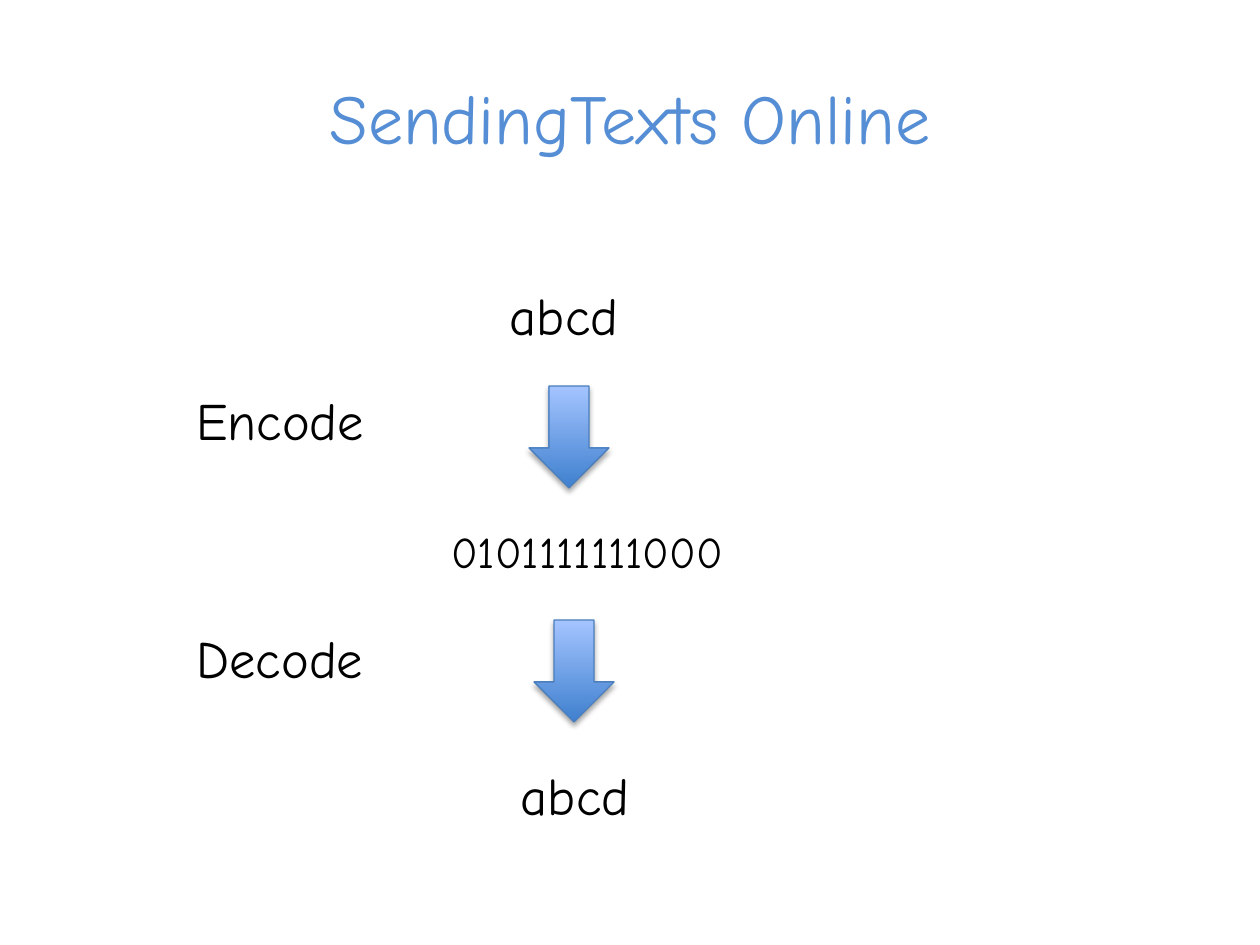
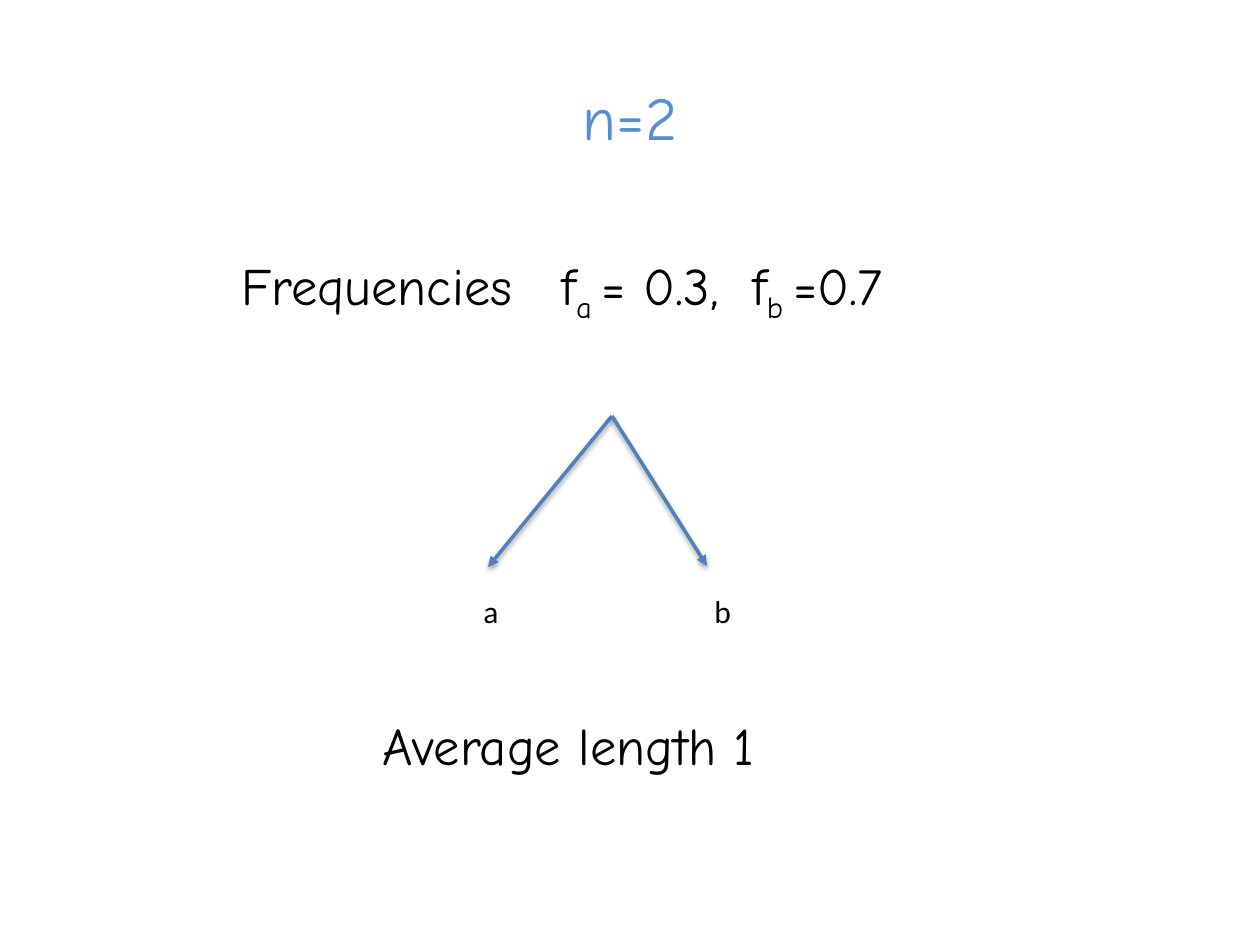
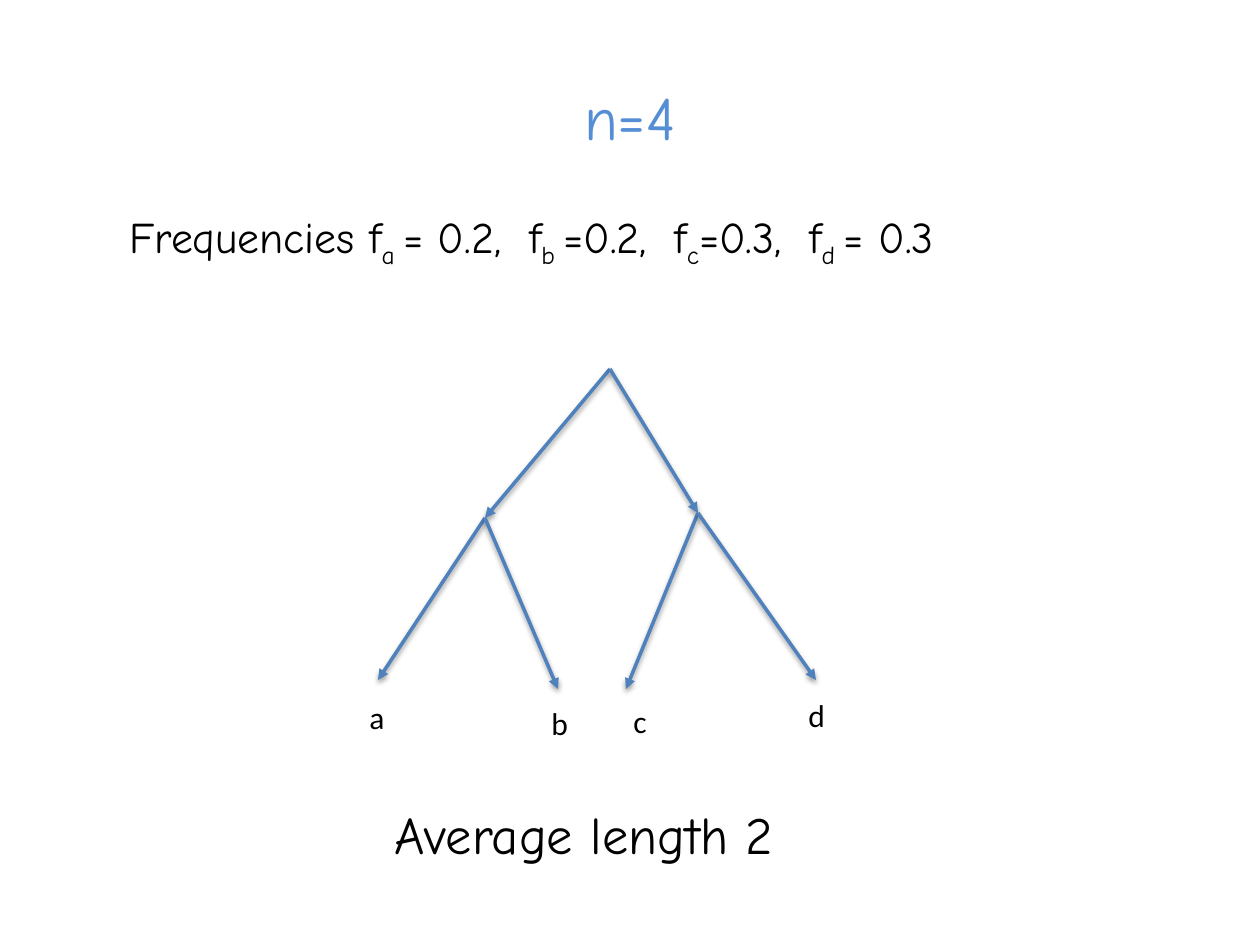
from lxml import etree
from pptx import Presentation, util as u
from pptx.dml.color import RGBColor
from pptx.enum import shapes, text
from pptx.oxml import ns

SCALE = 914400 / 126
SLIDE_WIDTH, SLIDE_HEIGHT = 1260, 945
HAND, PLAIN = "Comic Neue", "Calibri"
TITLE_BLUE, BLACK, TREE_BLUE = "558ED5", "000000", "4F81BD"
ARROW_OUTLINE, ARROW_STOPS = "4B7EBC", ("3F80CE", "A4C4FF")
BOX_HEIGHTS = {40: 97, 35: 87, 30: 77, 25: 66, 18: 50}
TITLE_MIDDLE = 116.5
ARROW_SIZE = (80, 102)
SPACE_WIDTH = 0.3
SUB = "subscript"

CODING = {
    "title": ("SendingTexts Online", 40),
    "steps": [
        ("abcd", 30, 564, 277, 1101),
        ("0101111111000", 25, 587, 519, 866),
        ("abcd", 30, 575, 757, 1101),
        ("Encode", 30, 280, 382, 1101),
        ("Decode", 30, 280, 620, 1101),
    ],
    "arrows": [(529, 386), (534, 620)],
}

TREES = [
    {
        "title": ("n=2", 35),
        "frequencies": (30, 229, 247, 954, [
            ("Frequencies", None), (" ", 2), ("f", None), ("a ", SUB),
            ("= 0.3,", None), (" ", 1), ("f", None), ("b ", SUB), ("=0.7", None)]),
        "nodes": {"root": (612, 416), "a": (488, 567), "b": (707, 566)},
        "edges": [("root", "a"), ("root", "b")],
        "label_width": 107,
        "labels": {"a": (471, 586), "b": (702, 586)},
        "average": ("Average length 1", 370, 707),
    },
    {
        "title": ("n=4", 35),
        "frequencies": (25, 117, 204, 1000, [
            ("Frequencies f", None), ("a ", SUB), ("= 0.2,", None), (" ", 1),
            ("f", None), ("b ", SUB), ("=0.2,", None), (" ", 1),
            ("f", None), ("c", SUB), ("=0.3,", None), (" ", 1),
            ("f", None), ("d ", SUB), ("= 0.3", None)]),
        "nodes": {"root": (610, 369), "left": (485, 518), "right": (698, 513),
                  "a": (378, 680), "b": (558, 689), "c": (626, 689), "d": (816, 680)},
        "edges": [("root", "left"), ("root", "right"), ("right", "c"),
                  ("right", "d"), ("left", "a"), ("left", "b")],
        "label_width": 42,
        "labels": {"a": (357, 692), "b": (539, 698), "c": (621, 696), "d": (796, 690)},
        "average": ("Average length 2", 382, 796),
    },
]


def px(*lengths):
    return [u.Emu(round(length * SCALE)) for length in lengths]


def color(value):
    return RGBColor.from_string(value)


def add_text(slide, runs, size, left, top, width, font=HAND, fill=BLACK,
             align=text.PP_ALIGN.LEFT, before=0, anchor=text.MSO_ANCHOR.TOP):
    box = slide.shapes.add_textbox(*px(left, top, width, BOX_HEIGHTS[size]))
    frame = box.text_frame
    frame.word_wrap = True
    frame.auto_size = text.MSO_AUTO_SIZE.SHAPE_TO_FIT_TEXT
    frame.vertical_anchor = anchor
    paragraph = frame.paragraphs[0]
    paragraph.alignment = align
    if before:
        paragraph.space_before = u.Pt(before)
    for words, style in runs:
        run = paragraph.add_run()
        run.text = words
        run.font.name = font
        run.font.size = u.Pt(size)
        run.font.color.rgb = color(fill)
        properties = run.font._element
        if style == SUB:
            properties.set("baseline", "-25000")
        elif style:
            properties.set("spc", str(round(style * SPACE_WIDTH * size * 100)))


def add_title(slide, title):
    words, size = title
    add_text(slide, [(words, None)], size, 63, TITLE_MIDDLE - BOX_HEIGHTS[size] / 2, 1134,
             fill=TITLE_BLUE, align=text.PP_ALIGN.CENTER, anchor=text.MSO_ANCHOR.MIDDLE)


def add_shadow(shape, opacity, distance):
    properties = shape._element.spPr
    for effects in properties.findall(ns.qn("a:effectLst")):
        properties.remove(effects)
    effects = etree.SubElement(properties, ns.qn("a:effectLst"))
    shadow = etree.SubElement(effects, ns.qn("a:outerShdw"), blurRad=str(u.Pt(3.1)),
                              dist=str(u.Pt(distance)), dir="5400000", rotWithShape="0")
    tint = etree.SubElement(shadow, ns.qn("a:srgbClr"), val=BLACK)
    etree.SubElement(tint, ns.qn("a:alpha"), val=str(opacity * 1000))


def add_down_arrow(slide, left, top):
    arrow = slide.shapes.add_shape(shapes.MSO_SHAPE.DOWN_ARROW, *px(left, top, *ARROW_SIZE))
    arrow.fill.gradient()
    arrow.fill.gradient_angle = 90
    for stop, value in zip(arrow.fill.gradient_stops, ARROW_STOPS):
        stop.color.rgb = color(value)
    arrow.line.color.rgb = color(ARROW_OUTLINE)
    arrow.line.width = u.Pt(0.75)
    add_shadow(arrow, 35, 1.8)


def add_edge(slide, start, end):
    edge = slide.shapes.add_connector(shapes.MSO_CONNECTOR.STRAIGHT, *px(*start, *end))
    edge.line.color.rgb = color(TREE_BLUE)
    edge.line.width = u.Pt(2)
    etree.SubElement(edge.line._get_or_add_ln(), ns.qn("a:tailEnd"), type="triangle")
    add_shadow(edge, 38, 1.6)


def build_coding(slide):
    add_title(slide, CODING["title"])
    for words, size, middle, top, width in CODING["steps"]:
        add_text(slide, [(words, None)], size, middle - width / 2, top, width,
                 align=text.PP_ALIGN.CENTER, before=4)
    for left, top in CODING["arrows"]:
        add_down_arrow(slide, left, top)


def build_tree(slide, tree):
    add_title(slide, tree["title"])
    for start, end in tree["edges"]:
        add_edge(slide, tree["nodes"][start], tree["nodes"][end])
    size, left, top, width, runs = tree["frequencies"]
    add_text(slide, runs, size, left, top, width)
    for letter, (left, top) in tree["labels"].items():
        add_text(slide, [(letter, None)], 18, left, top, tree["label_width"], font=PLAIN)
    words, left, top = tree["average"]
    add_text(slide, [(words, None)], 30, left, top, 518)


presentation = Presentation()
presentation.slide_width, presentation.slide_height = px(SLIDE_WIDTH, SLIDE_HEIGHT)
blank = presentation.slide_layouts[6]
build_coding(presentation.slides.add_slide(blank))
for tree in TREES:
    build_tree(presentation.slides.add_slide(blank), tree)
presentation.save("out.pptx")
